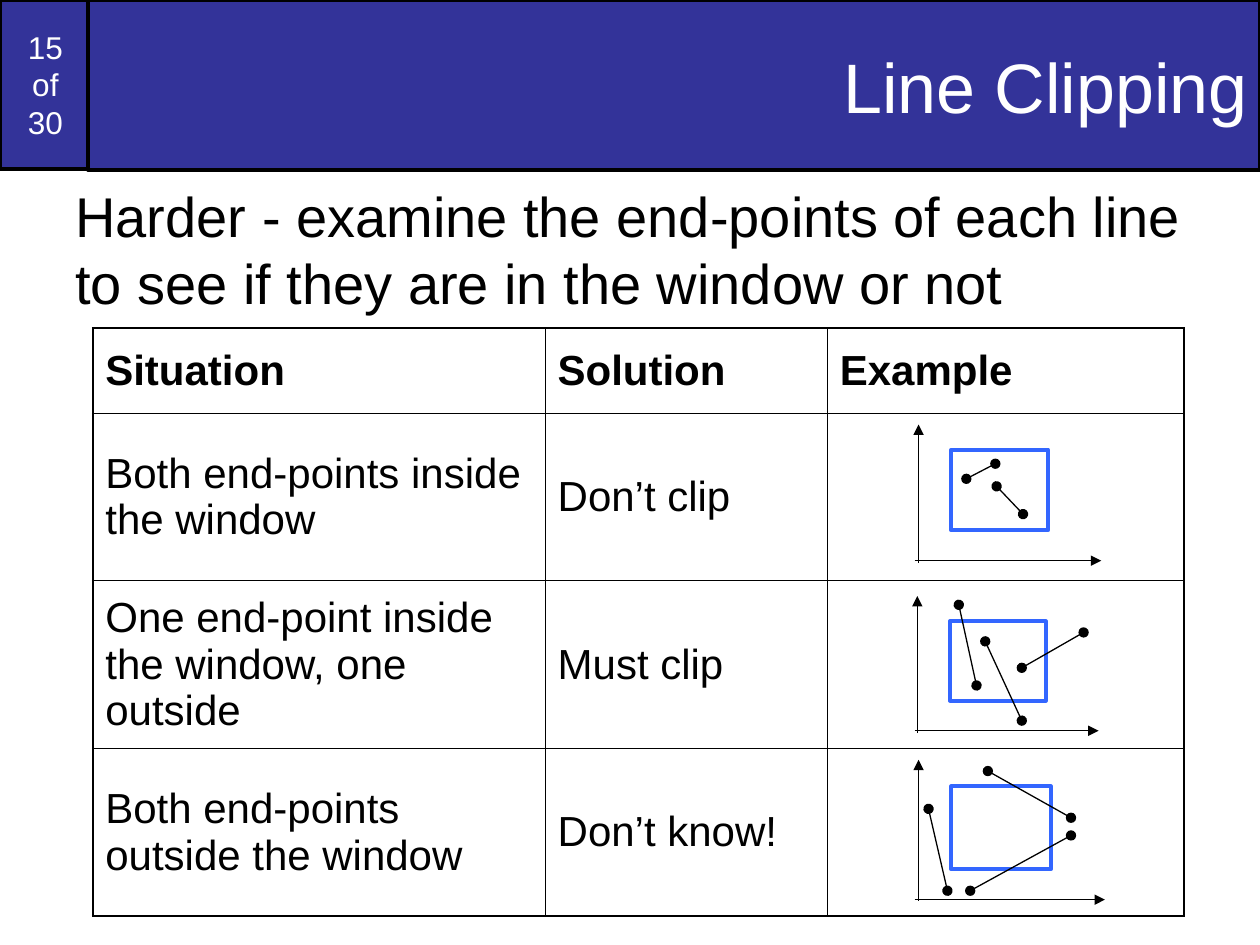
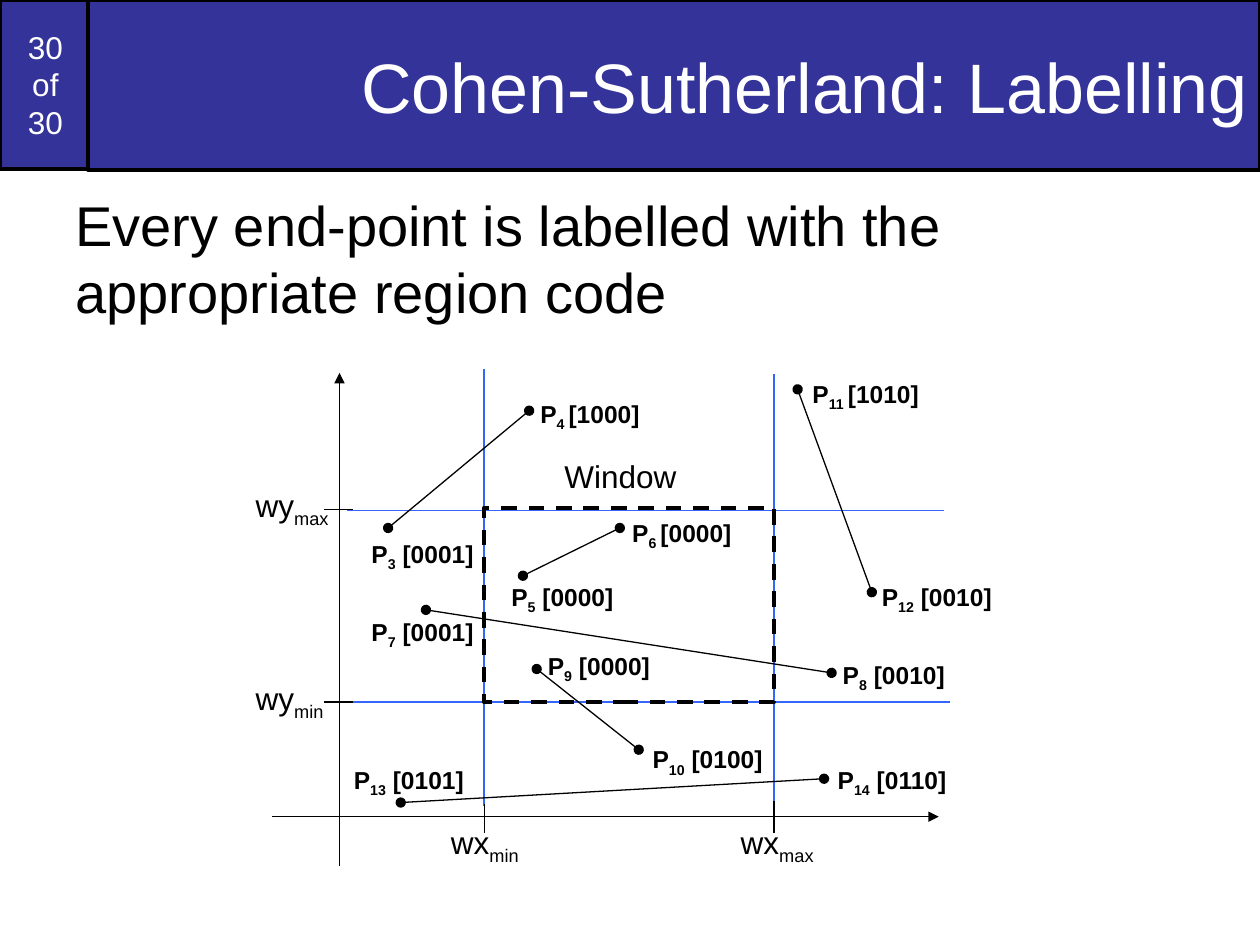
import dataclasses
import typing

import lxml.etree
import pptx
import pptx.dml.color
import pptx.enum.dml
import pptx.enum.shapes
import pptx.enum.text
import pptx.oxml.ns
import pptx.util

Pt = pptx.util.Pt
Align = pptx.enum.text.PP_ALIGN
Anchor = pptx.enum.text.MSO_ANCHOR


@dataclasses.dataclass(frozen=True)
class Theme:
    font: str = "Arial"
    band: str = "333399"
    ink: str = "000000"
    paper: str = "FFFFFF"
    window: str = "3366FF"
    title_size: float = 40
    body_size: float = 32
    table_size: float = 24
    label_size: float = 18
    point_size: float = 14
    hairline: float = 0.75
    band_line: float = 2
    window_line: float = 2.25
    outer_border: float = 1.08
    inner_border: float = 0.45


THEME = Theme()


class Box(typing.NamedTuple):
    left: float
    top: float
    width: float
    height: float


class Segment(typing.NamedTuple):
    x1: float
    y1: float
    x2: float
    y2: float


class Label(typing.NamedTuple):
    left: float
    top: float
    base: str
    subscript: str = ""
    code: str = ""


@dataclasses.dataclass(frozen=True)
class Case:
    situation: str
    solution: str
    x_axis: Segment
    y_axis: Segment
    window: Box
    lines: tuple[Segment, ...]


NUMBER_BOX = Box(0, 0, 51.84, 96.48)
TITLE_BOX = Box(50.4, 0, 669.6, 97.2)

HEADINGS = ("Situation", "Solution", "Example")
TABLE_LEFT, TABLE_TOP = 53, 187.5
COLUMN_WIDTHS = (258.48, 161.28, 203.9)
ROW_HEIGHTS = (48.6, 95.76, 95.76, 95.76)

CASES = (
    Case("Both end-points inside the window", "Don’t clip",
         Segment(522.7, 320.4, 629.3, 320.4), Segment(524.9, 321.8, 524.9, 242.6),
         Box(543.6, 257, 55.4, 46.1),
         (Segment(552.2, 273.6, 568.8, 265), Segment(569.5, 277.9, 584.6, 293.8))),
    Case("One end-point inside the window, one outside", "Must clip",
         Segment(522.7, 417.6, 627.8, 417.6), Segment(524.2, 419, 524.2, 340.6),
         Box(542.9, 355, 54.7, 45.4),
         (Segment(583.9, 381.6, 619.2, 361.4), Segment(563, 366.5, 583.9, 411.8),
          Segment(547.9, 345.6, 558, 391.7))),
    Case("Both end-points outside the window", "Don’t know!",
         Segment(522.7, 514.1, 631.4, 514.1), Segment(524.9, 514.8, 524.9, 434.2),
         Box(543.6, 449.3, 56.9, 47.5),
         (Segment(564.5, 440.6, 612, 467.3), Segment(554.4, 509, 612, 477.4),
          Segment(530.6, 462.2, 541.4, 509))),
)

REGION_WINDOW = Box(276.5, 290.2, 166, 110.9)
REGION_BOUNDARIES = (
    Segment(276.5, 211, 276.5, 460.8),
    Segment(442.3, 213.8, 442.3, 463.7),
    Segment(539.3, 291.6, 198, 291.6),
    Segment(542.9, 401.2, 201.6, 401.2),
)
REGION_AXES = (Segment(155.5, 466.7, 536.4, 466.7), Segment(194, 494.6, 194, 213.1))
AXIS_TICKS = (
    Segment(201.6, 291.1, 185, 291.1),
    Segment(201.6, 401.2, 185, 401.2),
    Segment(276.9, 459.4, 276.9, 475.9),
    Segment(442.3, 457.9, 442.3, 475.9),
)
LABEL_WIDTH = 86
AXIS_LABELS = (
    Label(139, 274.3, "wy", "max"),
    Label(139, 384.5, "wy", "min"),
    Label(250.6, 466.6, "wx", "min"),
    Label(416.2, 466.6, "wx", "max"),
    Label(315.4, 257.8, "Window"),
)
LABELLED_LINES = (
    Segment(298.8, 329, 354.2, 301.7),
    Segment(221.8, 301.7, 302.4, 234.7),
    Segment(306.7, 382.3, 365, 428.4),
    Segment(243.4, 348.5, 475.2, 384.5),
    Segment(498.2, 338.4, 455.8, 222.5),
    Segment(229, 458.6, 470.9, 445),
)
POINT_LABELS = (
    Label(205.2, 304.6, "P", "3", " [0001]"),
    Label(354.2, 292.3, "P", "6 ", "[0000]"),
    Label(285.1, 329, "P", "5", " [0000]"),
    Label(205.2, 349.2, "P", "7", " [0001]"),
    Label(365.8, 421.9, "P", "10", " [0100]"),
    Label(306, 368.6, "P", "9", " [0000]"),
    Label(301.7, 224.6, "P", "4 ", "[1000]"),
    Label(474.5, 373.7, "P", "8", " [0010]"),
    Label(496.8, 329, "P", "12", " [0010]"),
    Label(457.2, 213.1, "P", "11 ", "[1010]"),
    Label(195.1, 433.4, "P", "13", " [0101]"),
    Label(471.6, 433.4, "P", "14", " [0110]"),
)


def rgb(value: str) -> pptx.dml.color.RGBColor:
    return pptx.dml.color.RGBColor.from_string(value)


def in_points(values: typing.Iterable[float]) -> list[pptx.util.Length]:
    return [Pt(value) for value in values]


def style_paragraph(paragraph, size: float, color: str = THEME.ink, bold: bool = False,
                    align=Align.LEFT) -> None:
    paragraph.alignment = align
    font = paragraph.font
    font.name, font.size, font.bold = THEME.font, Pt(size), bold
    font.color.rgb = rgb(color)


def add_rectangle(slide, box: Box, color: str, width: float, fill: str | None = None):
    shape = slide.shapes.add_shape(pptx.enum.shapes.MSO_SHAPE.RECTANGLE, *in_points(box))
    shape.shadow.inherit = False
    if fill:
        shape.fill.solid()
        shape.fill.fore_color.rgb = rgb(fill)
    else:
        shape.fill.background()
    shape.line.color.rgb = rgb(color)
    shape.line.width = Pt(width)
    return shape


def add_line(slide, segment: Segment, color: str = THEME.ink, head: str = "", tail: str = "") -> None:
    connector = slide.shapes.add_connector(
        pptx.enum.shapes.MSO_CONNECTOR.STRAIGHT, *in_points(segment))
    connector.line.color.rgb = rgb(color)
    connector.line.width = Pt(THEME.hairline)
    outline = connector.line._get_or_add_ln()
    for tag, kind in (("a:headEnd", head), ("a:tailEnd", tail)):
        if kind:
            lxml.etree.SubElement(outline, pptx.oxml.ns.qn(tag), type=kind)
    lxml.etree.SubElement(connector._element.spPr, pptx.oxml.ns.qn("a:effectLst"))


def add_band(slide, box: Box, text: str, size: float, align) -> None:
    shape = add_rectangle(slide, box, THEME.ink, THEME.band_line, THEME.band)
    frame = shape.text_frame
    frame.word_wrap = True
    frame.vertical_anchor = Anchor.MIDDLE
    paragraph = frame.paragraphs[0]
    paragraph.text = text
    style_paragraph(paragraph, size, THEME.paper, align=align)


def add_text_paragraph(slide, box: Box):
    frame = slide.shapes.add_textbox(*in_points(box)).text_frame
    frame.word_wrap = True
    return frame.paragraphs[0]


def add_body(slide, box: Box, text: str) -> None:
    paragraph = add_text_paragraph(slide, box)
    paragraph.text = text
    style_paragraph(paragraph, THEME.body_size)


def add_label(slide, label: Label, height: float, size: float, bold: bool = False) -> None:
    paragraph = add_text_paragraph(slide, Box(label.left, label.top, LABEL_WIDTH, height))
    for text in filter(None, (label.base, label.subscript, label.code)):
        run = paragraph.add_run()
        run.text = text
        if text == label.subscript:
            run._r.get_or_add_rPr().set("baseline", "-25000")
    style_paragraph(paragraph, size, bold=bold)


def set_borders(cell, widths: dict[str, float]) -> None:
    properties = cell._tc.get_or_add_tcPr()
    for side, width in widths.items():
        border = lxml.etree.SubElement(
            properties, pptx.oxml.ns.qn(f"a:ln{side}"), w=str(int(Pt(width))))
        fill = lxml.etree.SubElement(border, pptx.oxml.ns.qn("a:solidFill"))
        lxml.etree.SubElement(fill, pptx.oxml.ns.qn("a:srgbClr"), val=THEME.ink)


def add_case_table(slide) -> None:
    rows = [HEADINGS] + [(case.situation, case.solution, "") for case in CASES]
    box = Box(TABLE_LEFT, TABLE_TOP, sum(COLUMN_WIDTHS), sum(ROW_HEIGHTS))
    table = slide.shapes.add_table(len(rows), len(HEADINGS), *in_points(box)).table
    table.first_row = table.horz_banding = False
    for column, width in zip(table.columns, COLUMN_WIDTHS):
        column.width = Pt(width)
    for row, height in zip(table.rows, ROW_HEIGHTS):
        row.height = Pt(height)
    last_row, last_column = len(rows) - 1, len(HEADINGS) - 1
    for row_index, texts in enumerate(rows):
        for column_index, text in enumerate(texts):
            cell = table.cell(row_index, column_index)
            on_edge = {"L": column_index == 0, "R": column_index == last_column,
                       "T": row_index == 0, "B": row_index == last_row}
            set_borders(cell, {side: THEME.outer_border if outer else THEME.inner_border
                               for side, outer in on_edge.items()})
            cell.fill.background()
            cell.vertical_anchor = Anchor.MIDDLE
            paragraph = cell.text_frame.paragraphs[0]
            paragraph.text = text
            style_paragraph(paragraph, THEME.table_size, bold=row_index == 0)


def add_base_slide(presentation, number: int, title: str):
    slide = presentation.slides.add_slide(presentation.slide_layouts[6])
    add_band(slide, NUMBER_BOX, f"{number}\vof\v30", THEME.label_size, Align.CENTER)
    add_band(slide, TITLE_BOX, title, THEME.title_size, Align.RIGHT)
    return slide


def build_line_clipping(presentation) -> None:
    slide = add_base_slide(presentation, 15, "Line Clipping")
    add_body(slide, Box(36, 100.08, 653, 118.8),
             "Harder - examine the end-points of each line to see if they are in the window or not")
    add_case_table(slide)
    for case in CASES:
        for axis in (case.x_axis, case.y_axis):
            add_line(slide, axis, tail="triangle")
        add_rectangle(slide, case.window, THEME.window, THEME.window_line)
        for line in case.lines:
            add_line(slide, line, head="oval", tail="oval")


def build_labelling(presentation) -> None:
    slide = add_base_slide(presentation, 30, "Cohen-Sutherland: Labelling")
    add_body(slide, Box(36, 105.12, 648, 112.3),
             "Every end-point is labelled with the appropriate region code")
    for boundary in REGION_BOUNDARIES:
        add_line(slide, boundary, THEME.window)
    for axis in REGION_AXES:
        add_line(slide, axis, tail="triangle")
    window = add_rectangle(slide, REGION_WINDOW, THEME.ink, THEME.window_line)
    window.line.dash_style = pptx.enum.dml.MSO_LINE.DASH
    for tick in AXIS_TICKS:
        add_line(slide, tick)
    for label in AXIS_LABELS:
        add_label(slide, label, 31.7 if label.subscript else 28.8, THEME.label_size)
    for line in LABELLED_LINES:
        add_line(slide, line, head="oval", tail="oval")
    for label in POINT_LABELS:
        add_label(slide, label, 26.6, THEME.point_size, bold=True)


def main() -> None:
    presentation = pptx.Presentation()
    presentation.slide_width, presentation.slide_height = Pt(720), Pt(540)
    build_line_clipping(presentation)
    build_labelling(presentation)
    presentation.save("out.pptx")


if __name__ == "__main__":
    main()
